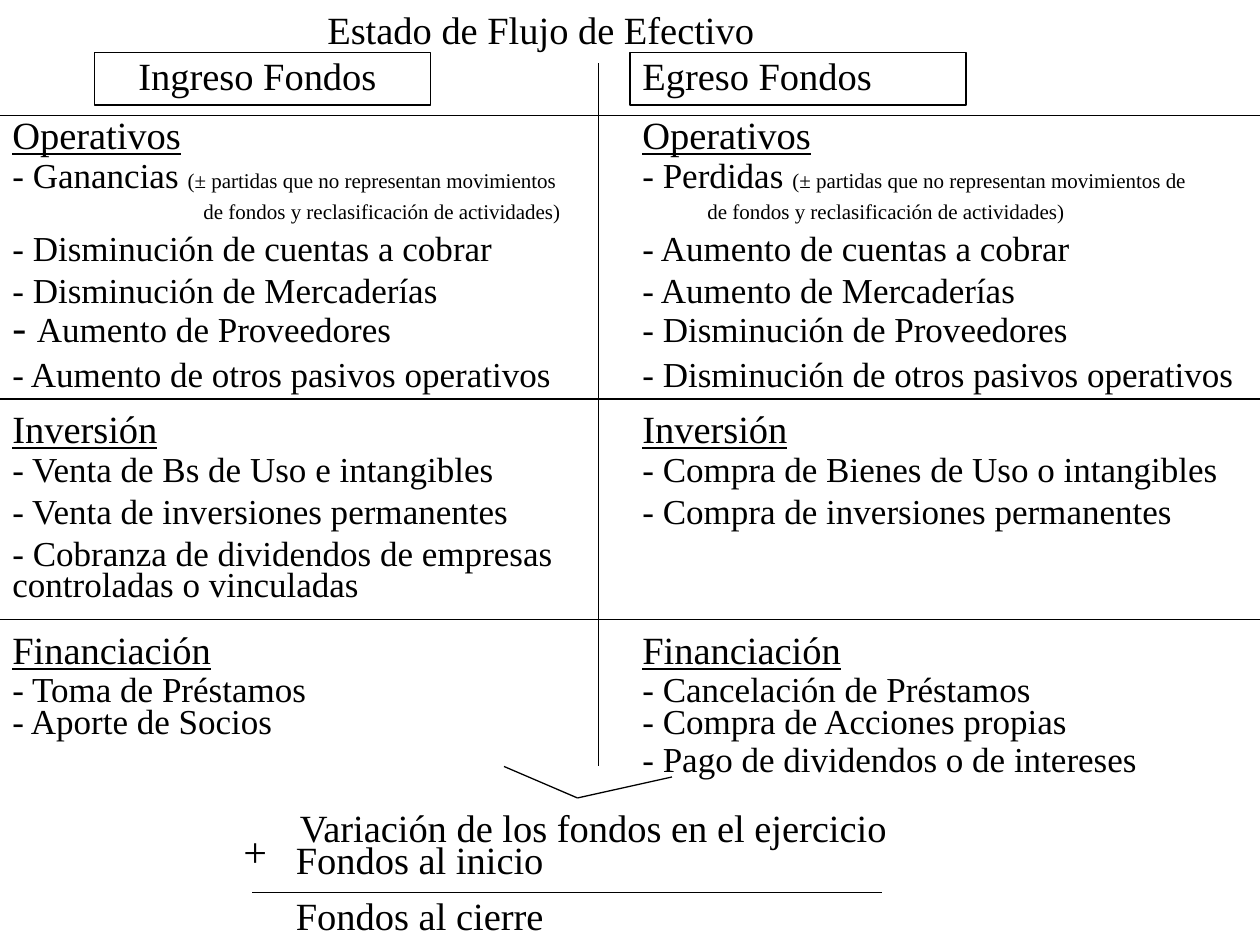
from lxml.etree import SubElement
from pptx import Presentation
from pptx.dml.color import RGBColor
from pptx.enum.shapes import MSO_CONNECTOR as Connector, MSO_SHAPE as Shape
from pptx.enum.text import MSO_AUTO_SIZE as AutoSize, PP_ALIGN as Align
from pptx.oxml.ns import qn
from pptx.util import Inches, Pt

PX = Inches(1) // 120
WIDTH, HEIGHT = 1200, 900
COLUMN = 600
BLACK = RGBColor(0, 0, 0)
FONT = "Times New Roman"
HEADING, BODY, LARGE, NOTE = 22, 20, 24, 12
ROW_HEIGHT = {HEADING: 56, BODY: 52, LARGE: 60}


def add_text(slide, box, content, size=BODY, underline=None, align=None, stops=()):
    """Write a string, or a list of (text, size, underline) runs, in a box."""
    frame = slide.shapes.add_textbox(*(v * PX for v in box)).text_frame
    frame.word_wrap = True
    frame.auto_size = AutoSize.SHAPE_TO_FIT_TEXT
    paragraph = frame.paragraphs[0]
    paragraph.alignment = align
    properties = paragraph._p.get_or_add_pPr()
    spacing = SubElement(properties, qn("a:spcBef"))
    SubElement(spacing, qn("a:spcPct"), val="50000")
    if stops:
        tabs = SubElement(properties, qn("a:tabLst"))
        for stop in stops:
            SubElement(tabs, qn("a:tab"), pos=str(stop * PX), algn="l")
    runs = [(content, size, underline)] if isinstance(content, str) else content
    for wording, points, underlined in runs:
        run = paragraph.add_run()
        run.text = wording
        run.font.name = FONT
        run.font.size = Pt(points)
        run.font.underline = underlined
        run.font.color.rgb = BLACK


def add_line(slide, *ends):
    """Draw a thin black line between two points."""
    line = slide.shapes.add_connector(Connector.STRAIGHT, *(v * PX for v in ends))
    line.line.color.rgb = BLACK
    line.line.width = Pt(0.75)
    SubElement(line._element.spPr, qn("a:effectLst"))


def add_frame(slide, box):
    """Draw an empty outlined rectangle."""
    frame = slide.shapes.add_shape(Shape.RECTANGLE, *(v * PX for v in box))
    frame.shadow.inherit = False
    frame.fill.background()
    frame.line.color.rgb = BLACK
    frame.line.width = Pt(0.75)


def add_header(slide, box):
    """Place the title and the two framed column headings."""
    left, top, width, _ = box
    add_text(slide, (left + 300, top, 590, 56), "Estado de Flujo de Efectivo", HEADING)
    for frame_left in (90, COLUMN):
        add_frame(slide, (left + frame_left, top + 50, 320, 50))
    add_text(slide, (left, top + 40, width, 60),
             [("\t", LARGE, None), ("Ingreso Fondos\tEgreso Fondos", HEADING, None)],
             stops=(120, COLUMN))


def add_section(slide, box, name, rows):
    """Place an underlined heading in both columns and its rows below."""
    left, top, width, _ = box
    add_text(slide, (left, top, width, ROW_HEIGHT[HEADING]),
             [(name, HEADING, True), ("\t", HEADING, False), (name, HEADING, True)],
             stops=(COLUMN,))
    for offset, content in rows:
        tallest = BODY if isinstance(content, str) else max(run[1] for run in content)
        add_text(slide, (left, top + offset, width, ROW_HEIGHT[tallest]), content,
                 stops=(COLUMN,))


def add_operating(slide, box):
    """Place the operating section with its two-line small notes."""
    left, top, _, _ = box
    note = "(± partidas que no representan movimientos"
    note_end = "de fondos y reclasificación de actividades)"
    add_section(slide, box, "Operativos", [
        (40, [("- Ganancias ", BODY, None), (note, NOTE, None),
              ("\t- Perdidas ", BODY, None), (note + " de", NOTE, None)]),
        (110, "- Disminución de cuentas a cobrar\t- Aumento de cuentas a cobrar"),
        (150, "- Disminución de Mercaderías\t- Aumento de Mercaderías"),
        (180, [("- ", LARGE, None),
               ("Aumento de Proveedores\t- Disminución de Proveedores", BODY, None)]),
        (230, "- Aumento de otros pasivos operativos"
              "\t- Disminución de otros pasivos operativos"),
    ])
    add_text(slide, (left + 182, top + 70, 1000, 52),
             [(note_end, NOTE, None), ("\t", BODY, None), (note_end, NOTE, None)],
             stops=(480,))


def add_investing(slide, box):
    """Place the investing section."""
    add_section(slide, box, "Inversión", [
        (40, "- Venta de Bs de Uso e intangibles\t- Compra de Bienes de Uso o intangibles"),
        (80, "- Venta de inversiones permanentes\t- Compra de inversiones permanentes"),
        (120, "- Cobranza de dividendos de empresas"),
        (150, "controladas o vinculadas"),
    ])


def add_financing(slide, box):
    """Place the financing section."""
    add_section(slide, box, "Financiación", [
        (40, "- Toma de Préstamos\t- Cancelación de Préstamos"),
        (70, "- Aporte de Socios\t- Compra de Acciones propias"),
        (100, [("\t", LARGE, None), ("- Pago de dividendos o de intereses", BODY, None)]),
    ])


def add_rules(slide, box):
    """Draw the column divider and the section dividers."""
    left, top, width, height = box
    add_line(slide, left + 570, top, left + 570, top + height)
    for offset in (50, 320, 530):
        add_line(slide, left, top + offset, left + width, top + offset)


def add_result(slide, box):
    """Place the arrow-like bracket and the closing sum."""
    left, top, _, _ = box
    add_line(slide, left + 290, top, left + 360, top + 30)
    add_line(slide, left + 360, top + 30, left + 450, top + 10)
    add_text(slide, (left, top + 30, 750, 56), "Variación de los fondos en el ejercicio",
             HEADING, align=Align.CENTER)
    add_text(slide, (left + 80, top + 60, 710, 56), "Fondos al inicio", HEADING)
    add_text(slide, (left + 30, top + 50, 60, 60), "+", LARGE)
    add_text(slide, (left + 80, top + 114, 700, 56), "Fondos al cierre", HEADING)
    add_line(slide, left + 50, top + 120, left + 650, top + 120)


def main():
    """Build and save the cash flow slide."""
    deck = Presentation()
    deck.slide_width, deck.slide_height = WIDTH * PX, HEIGHT * PX
    slide = deck.slides.add_slide(deck.slide_layouts[6])
    add_header(slide, (0, 0, WIDTH, 100))
    add_operating(slide, (0, 100, WIDTH, 280))
    add_investing(slide, (0, 380, WIDTH, 210))
    add_financing(slide, (0, 590, WIDTH, 160))
    add_rules(slide, (0, 60, WIDTH, 670))
    add_result(slide, (190, 730, 790, 170))
    deck.save("out.pptx")


if __name__ == "__main__":
    main()
